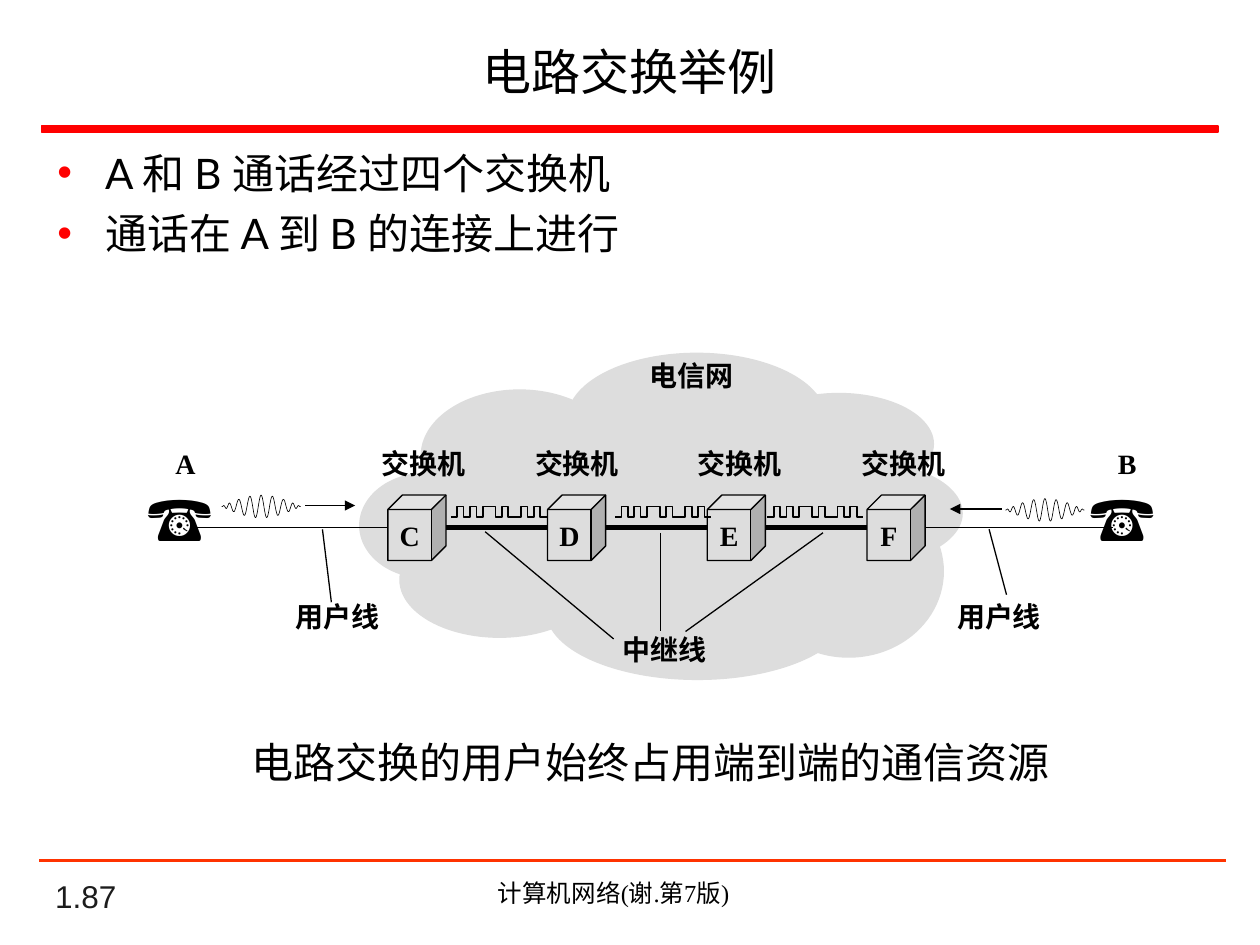
"""Build the circuit switching example slide."""
import math
from dataclasses import dataclass

from lxml import etree
from pptx import Presentation
from pptx import util as u
from pptx.dml.color import RGBColor
from pptx.enum import shapes, text
from pptx.oxml.ns import qn

Cm = u.Cm
CENTER = text.PP_ALIGN.CENTER
MIDDLE = text.MSO_ANCHOR.MIDDLE


@dataclass(frozen=True)
class Theme:
    """Colours and type styles of the slide."""
    ink: str = "000000"
    grey: str = "1C1C1C"
    red: str = "FF0000"
    orange: str = "FF3300"
    cloud: str = "DDDDDD"

    def font(self, name, size, bold=False):
        """Return the format values of one type style."""
        return {"name": name, "size": u.Pt(size), "bold": bold}


T = Theme()
TITLE = T.font("Lato", 28)
BODY = T.font("Lato", 24)
NUMBER = T.font("Arial", 18)
FOOTER = T.font("Times New Roman", 14)
LABEL = T.font("Times New Roman", 16, True)
PHONE = T.font("Times New Roman", 36, True)


def apply(obj, values):
    """Set every format value on an object."""
    for name, value in values.items():
        setattr(obj, name, value)


def write(p, words, font, color=T.ink, **layout):
    """Write one formatted run into a paragraph."""
    apply(p, layout)
    r = p.add_run()
    r.text = words
    apply(r.font, font)
    r.font.color.rgb = RGBColor.from_string(color)


def add_text(s, box, words, font, color=T.ink, wrap=True, anchor=text.MSO_ANCHOR.TOP, **layout):
    """Add a text box with one paragraph and return its frame."""
    tf = s.shapes.add_textbox(*map(Cm, box)).text_frame
    apply(tf, {"word_wrap": wrap, "vertical_anchor": anchor})
    write(tf.paragraphs[0], words, font, color, **layout)
    return tf


def add_label(s, x, y, words):
    """Add a bold diagram label centred on x."""
    w = 0.75 * len(words)
    add_text(s, (x - w / 2, y, w, 0.94), words, LABEL, wrap=False, alignment=CENTER)


def add_shape(s, kind, box, fill, line=None, width=0.75):
    """Add a flat preset shape."""
    sp = s.shapes.add_shape(kind, *map(Cm, box))
    sp.shadow.inherit = False
    sp.fill.solid()
    sp.fill.fore_color.rgb = RGBColor.from_string(fill)
    if line:
        sp.line.color.rgb = RGBColor.from_string(line)
        sp.line.width = u.Pt(width)
    else:
        sp.line.fill.background()
    return sp


def add_line(s, x1, y1, x2, y2, width=0.75, color=T.ink, arrow=False):
    """Add a straight line, with an arrowhead at its end if asked."""
    c = s.shapes.add_connector(shapes.MSO_CONNECTOR.STRAIGHT, *map(Cm, (x1, y1, x2, y2)))
    c.line.color.rgb = RGBColor.from_string(color)
    c.line.width = u.Pt(width)
    if arrow:
        etree.SubElement(c.line._get_or_add_ln(), qn("a:tailEnd"), type="triangle")
    etree.SubElement(c._element.spPr, qn("a:effectLst"))


def add_path(s, points, width):
    """Add an open unfilled outline through the points."""
    pts = [(Cm(x), Cm(y)) for x, y in points]
    fb = s.shapes.build_freeform(*pts[0])
    fb.add_line_segments(pts[1:], close=False)
    sp = fb.convert_to_shape()
    sp.shadow.inherit = False
    sp.fill.background()
    sp.line.color.rgb = RGBColor.from_string(T.ink)
    sp.line.width = u.Pt(width)


def header(s, x, y, w):
    """Place the title and the red rule below it."""
    add_shape(s, shapes.MSO_SHAPE.RECTANGLE, (x, y + 1.98, w, 0.13), T.red, T.red, 1)
    add_text(s, (x + 0.15, y, w - 0.33, 1.75), "电路交换举例", TITLE, anchor=MIDDLE, alignment=CENTER)


def bullets(s, box, lines):
    """Place the bulleted statements."""
    tf = s.shapes.add_textbox(*map(Cm, box)).text_frame
    tf.word_wrap = True
    for i, words in enumerate(lines):
        p = tf.add_paragraph() if i else tf.paragraphs[0]
        pPr = p._p.get_or_add_pPr()
        apply_indent = {"marL": Cm(0.96), "indent": -Cm(0.96)}
        for name, value in apply_indent.items():
            pPr.set(name, str(int(value)))
        clr = etree.SubElement(pPr, qn("a:buClr"))
        etree.SubElement(clr, qn("a:srgbClr"), val=T.red)
        etree.SubElement(pPr, qn("a:buFont"), typeface="Arial")
        etree.SubElement(pPr, qn("a:buChar"), char="•")
        write(p, words, BODY, space_before=u.Pt(6 if i else 0))


def cloud(s, x, y):
    """Place the overlapping ellipses of the telecom network."""
    for dx, dy, w, h in [(4.19, 0, 5.23, 2.67), (1.24, 0.74, 3.99, 2.67), (0, 2.42, 2.67, 2.13),
                         (0.81, 3.41, 4.04, 2.34), (3.76, 3.81, 6.12, 2.79), (7.75, 0.81, 3.84, 2.06),
                         (8.33, 2.21, 3.84, 2.06), (7.95, 2.67, 3.84, 3.48), (2.21, 1.6, 7.9, 3.48)]:
        add_shape(s, shapes.MSO_SHAPE.OVAL, (x + dx, y + dy, w, h), T.cloud)


def switch(s, x, y, name):
    """Place one switch cube with its letter."""
    sp = add_shape(s, shapes.MSO_SHAPE.CUBE, (x, y, 1.17, 1.32), T.cloud, T.ink)
    tf = sp.text_frame
    apply(tf, {"word_wrap": False, "vertical_anchor": MIDDLE})
    write(tf.paragraphs[0], name, LABEL, alignment=CENTER)


def voice_wave(s, x, y, w=1.59, amp=0.23, n=160):
    """Place an analogue wave that fades towards both ends."""
    ts = [2 * i / n - 1 for i in range(n + 1)]
    add_path(s, [(x + w * (t + 1) / 2,
                  y - amp * math.cos(math.pi * t / 2) * math.cos(math.pi * (7 * abs(t) + 2 * t ** 8)))
                 for t in ts], 0.38)


def pulses(s, x, y, w=1.93, h=0.21):
    """Place a digital pulse train that starts and ends low."""
    runs = (1, 1, 1, 1, 1, 2, 1, 1, 2, 1, 1, 1, 1)
    points = []
    for i, run in enumerate(runs):
        level = y if i % 2 else y + h
        points += [(x, level), (x + run * w / sum(runs), level)]
        x = points[-1][0]
    add_path(s, points, 1)


def network(s, x, y):
    """Place the path from telephone A to telephone B."""
    wire = y + 3.54
    cloud(s, x + 4.54, y + 0.01)
    add_line(s, x + 5.68, wire, x + 15.16, wire, 3)
    for name, dx in (("A", 0), ("B", 19)):
        add_text(s, (x + dx + 0.02, y + 2.43, 1.88, 3.33), "☎", PHONE)
        add_label(s, x + dx + 0.96, y + 1.78, name)
    for dx1, dx2 in ((1.19, 5.3), (15.36, 19.73)):
        add_line(s, x + dx1, wire, x + dx2, wire)
    for i, name in enumerate("CDEF"):
        switch(s, x + 5.12 + 3.22 * i, y + 2.88, name)
    for dx in (5.83, 8.93, 12.21, 15.51):
        add_label(s, x + dx, y + 1.78, "交换机")
    for dx, dy, words in ((11.24, 0.01, "电信网"), (10.69, 5.52, "中继线"),
                          (4.11, 4.86, "用户线"), (17.44, 4.86, "用户线")):
        add_label(s, x + dx, y + dy, words)
    for x1, y1, x2, y2 in ((7.08, 3.62, 9.67, 5.78), (10.61, 3.64, 10.61, 5.63),
                           (13.89, 3.64, 11.12, 5.63), (3.8, 3.57, 3.98, 5.04),
                           (17.24, 3.57, 17.59, 4.89)):
        add_line(s, x + x1, y + y1, x + x2, y + y2)
    for wave, start, end, dy in ((1.77, 3.45, 4.46, 3.09), (17.57, 17.49, 16.45, 3.16)):
        voice_wave(s, x + wave, y + dy + 0.02)
        add_line(s, x + start, y + dy, x + end, y + dy, arrow=True)
    for dx in (6.39, 9.7, 12.77):
        pulses(s, x + dx, y + 3.11)


def footer(s, x, y, w):
    """Place the footer rule, slide number and book name."""
    add_line(s, x, y, x + w, y, 1.5, T.orange)
    add_text(s, (x + 0.07, y + 0.38, 5.28, 0.84), "1.87", NUMBER, T.grey, anchor=text.MSO_ANCHOR.BOTTOM)
    add_text(s, (x + 6.4, y + 0.23, 10.36, 0.86), "计算机网络(谢.第7版)", FOOTER, alignment=CENTER)


def main():
    """Build and save the slide."""
    prs = Presentation()
    apply(prs, {"slide_width": Cm(25.4), "slide_height": Cm(19.05)})
    s = prs.slides.add_slide(prs.slide_layouts[6])
    footer(s, 0.79, 17.35, 23.92)
    header(s, 0.84, 0.56, 23.72)
    bullets(s, (0.91, 2.84, 23.57, 14.3), ["A 和 B 通话经过四个交换机", "通话在 A 到 B 的连接上进行"])
    network(s, 2.7, 7.1)
    add_text(s, (3.2, 14.73, 19.84, 1.27), "电路交换的用户始终占用端到端的通信资源", BODY, alignment=CENTER)
    prs.save("out.pptx")


if __name__ == "__main__":
    main()
